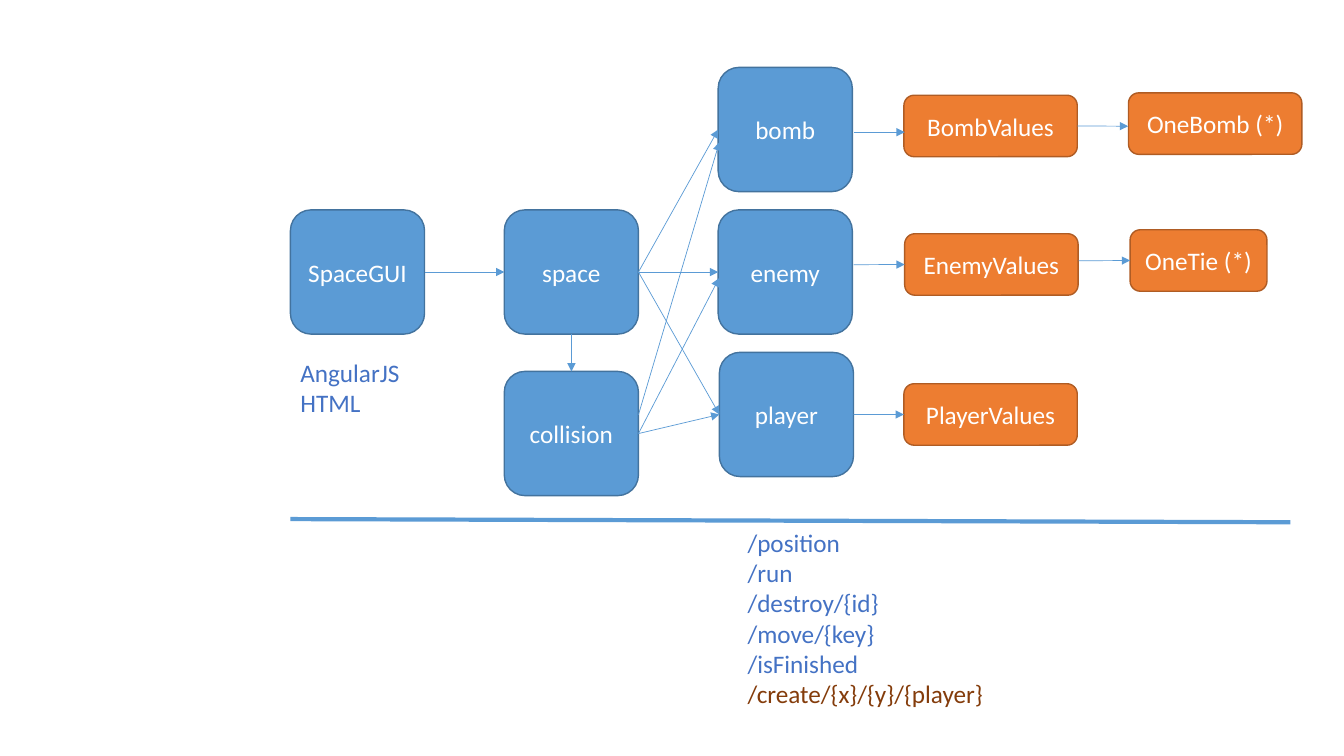
from dataclasses import dataclass

from lxml import etree
from pptx import Presentation
from pptx.dml.color import RGBColor
from pptx.enum.shapes import MSO_CONNECTOR, MSO_SHAPE
from pptx.enum.text import MSO_ANCHOR, MSO_AUTO_SIZE, PP_ALIGN
from pptx.oxml.ns import qn
from pptx.shapes.autoshape import Shape
from pptx.shapes.connector import Connector
from pptx.slide import Slide
from pptx.text.text import TextFrame
from pptx.util import Cm, Pt

STRAIGHT = MSO_CONNECTOR.STRAIGHT
ROUNDED = MSO_SHAPE.ROUNDED_RECTANGLE
MIDDLE = MSO_ANCHOR.MIDDLE
FIT_SHAPE = MSO_AUTO_SIZE.SHAPE_TO_FIT_TEXT
LEFT_ALIGN, CENTER = PP_ALIGN.LEFT, PP_ALIGN.CENTER
TOP, LEFT, BOTTOM, RIGHT = range(4)


@dataclass(frozen=True)
class Theme:
    font: str = "Calibri"
    size: float = 18
    module: str = "5B9BD5"
    module_edge: str = "43739E"
    values: str = "ED7D31"
    values_edge: str = "AF5C24"
    on_box: str = "FFFFFF"
    note: str = "4472C4"
    new_route: str = "843C0B"
    edge_width: float = 1
    arrow_width: float = 0.5
    divider_width: float = 3


THEME = Theme()


@dataclass(frozen=True)
class Box:
    label: str
    x: float
    y: float
    w: float
    h: float
    fill: str
    edge: str


@dataclass(frozen=True)
class Site:
    """The middle of one side of a labelled box."""
    box: str
    side: int


@dataclass(frozen=True)
class Point:
    x: float
    y: float


@dataclass(frozen=True)
class Arrow:
    start: Site | Point
    end: Site | Point


def module(label: str, x: float, y: float) -> Box:
    return Box(label, x, y, 3.38, 3.13, THEME.module, THEME.module_edge)


def values(label: str, x: float, y: float, w: float = 4.37) -> Box:
    return Box(label, x, y, w, 1.55, THEME.values, THEME.values_edge)


GUI_X, SPACE_X, PARTS_X = (7.32 + 5.39 * i for i in range(3))
BOMB_Y, ENEMY_Y, PLAYER_Y = (1.7 + 3.59 * i for i in range(3))

BOXES = [
    module("bomb", PARTS_X, BOMB_Y),
    module("enemy", PARTS_X, ENEMY_Y),
    module("player", PARTS_X + 0.03, PLAYER_Y),
    module("space", SPACE_X, ENEMY_Y),
    module("SpaceGUI", GUI_X, ENEMY_Y),
    module("collision", SPACE_X, 9.36),
    values("BombValues", 22.78, 2.4),
    values("OneBomb (*)", 28.44, 2.34),
    values("EnemyValues", 22.8, 5.89),
    values("OneTie (*)", 28.48, 5.79, 3.45),
    values("PlayerValues", 22.78, 9.67),
]

ARROWS = [
    Arrow(Site("SpaceGUI", RIGHT), Site("space", LEFT)),
    *(Arrow(Site("space", RIGHT), Site(part, LEFT))
      for part in ("bomb", "enemy", "player")),
    Arrow(Point(21.53, 3.33), Point(22.8, 3.33)),
    Arrow(Site("BombValues", RIGHT), Point(28.43, 3.18)),
    Arrow(Point(21.51, 6.67), Site("EnemyValues", LEFT)),
    Arrow(Point(27.18, 6.57), Site("OneTie (*)", LEFT)),
    Arrow(Site("player", RIGHT), Site("PlayerValues", LEFT)),
    Arrow(Site("space", BOTTOM), Site("collision", TOP)),
    Arrow(Point(16.09, 10.45), Point(18.13, 3.58)),
    Arrow(Site("collision", RIGHT), Point(18.12, 7.01)),
    Arrow(Site("collision", RIGHT), Site("player", LEFT)),
]

ROUTES = ["/position", "/run", "/destroy/{id}", "/move/{key}", "/isFinished"]


def write(tf: TextFrame, text: str, *, color: str, align: PP_ALIGN = LEFT_ALIGN) -> None:
    """Fill the empty first paragraph, or add one after the last."""
    p = tf.paragraphs[0]
    if p.runs:
        p = tf.add_paragraph()
    p.alignment = align
    r = p.add_run()
    r.text = text
    r.font.name = THEME.font
    r.font.size = Pt(THEME.size)
    r.font.color.rgb = RGBColor.from_string(color)


def draw_box(s: Slide, box: Box) -> Shape:
    sp = s.shapes.add_shape(ROUNDED, Cm(box.x), Cm(box.y), Cm(box.w), Cm(box.h))
    sp.shadow.inherit = False
    sp.fill.solid()
    sp.fill.fore_color.rgb = RGBColor.from_string(box.fill)
    sp.line.color.rgb = RGBColor.from_string(box.edge)
    sp.line.width = Pt(THEME.edge_width)
    sp.text_frame.vertical_anchor = MIDDLE
    write(sp.text_frame, box.label, color=THEME.on_box, align=CENTER)
    return sp


def draw_line(s: Slide, start: Point, end: Point, width: float) -> Connector:
    line = s.shapes.add_connector(STRAIGHT, Cm(start.x), Cm(start.y), Cm(end.x), Cm(end.y))
    line.line.color.rgb = RGBColor.from_string(THEME.module)
    line.line.width = Pt(width)
    etree.SubElement(line._element.spPr, qn("a:effectLst"))
    return line


def draw_arrow(s: Slide, arrow: Arrow, shapes: dict[str, Shape]) -> None:
    start, end = (e if isinstance(e, Point) else Point(0, 0)
                  for e in (arrow.start, arrow.end))
    line = draw_line(s, start, end, THEME.arrow_width)
    if isinstance(arrow.start, Site):
        line.begin_connect(shapes[arrow.start.box], arrow.start.side)
    if isinstance(arrow.end, Site):
        line.end_connect(shapes[arrow.end.box], arrow.end.side)
    ln = line._element.spPr.find(qn("a:ln"))
    etree.SubElement(ln, qn("a:tailEnd"), type="triangle")


def draw_note(s: Slide, x: float, y: float, w: float, h: float, lines: list[str]) -> TextFrame:
    tf = s.shapes.add_textbox(Cm(x), Cm(y), Cm(w), Cm(h)).text_frame
    tf.word_wrap = True
    tf.auto_size = FIT_SHAPE
    for text in lines:
        write(tf, text, color=THEME.note)
    return tf


def main() -> None:
    prs = Presentation()
    prs.slide_width, prs.slide_height = Cm(33.87), Cm(19.05)
    s = prs.slides.add_slide(prs.slide_layouts[6])
    shapes = {box.label: draw_box(s, box) for box in BOXES}
    for arrow in ARROWS:
        draw_arrow(s, arrow, shapes)
    draw_line(s, Point(GUI_X, 13.08), Point(32.52, 13.16), THEME.divider_width)
    draw_note(s, GUI_X, 8.88, 3.38, 1.8, ["AngularJS", "HTML"])
    routes = draw_note(s, 18.59, 13.16, 7.67, 4.88, ROUTES)
    write(routes, "/create/{x}/{y}/{player}", color=THEME.new_route)
    prs.save("out.pptx")


if __name__ == "__main__":
    main()
